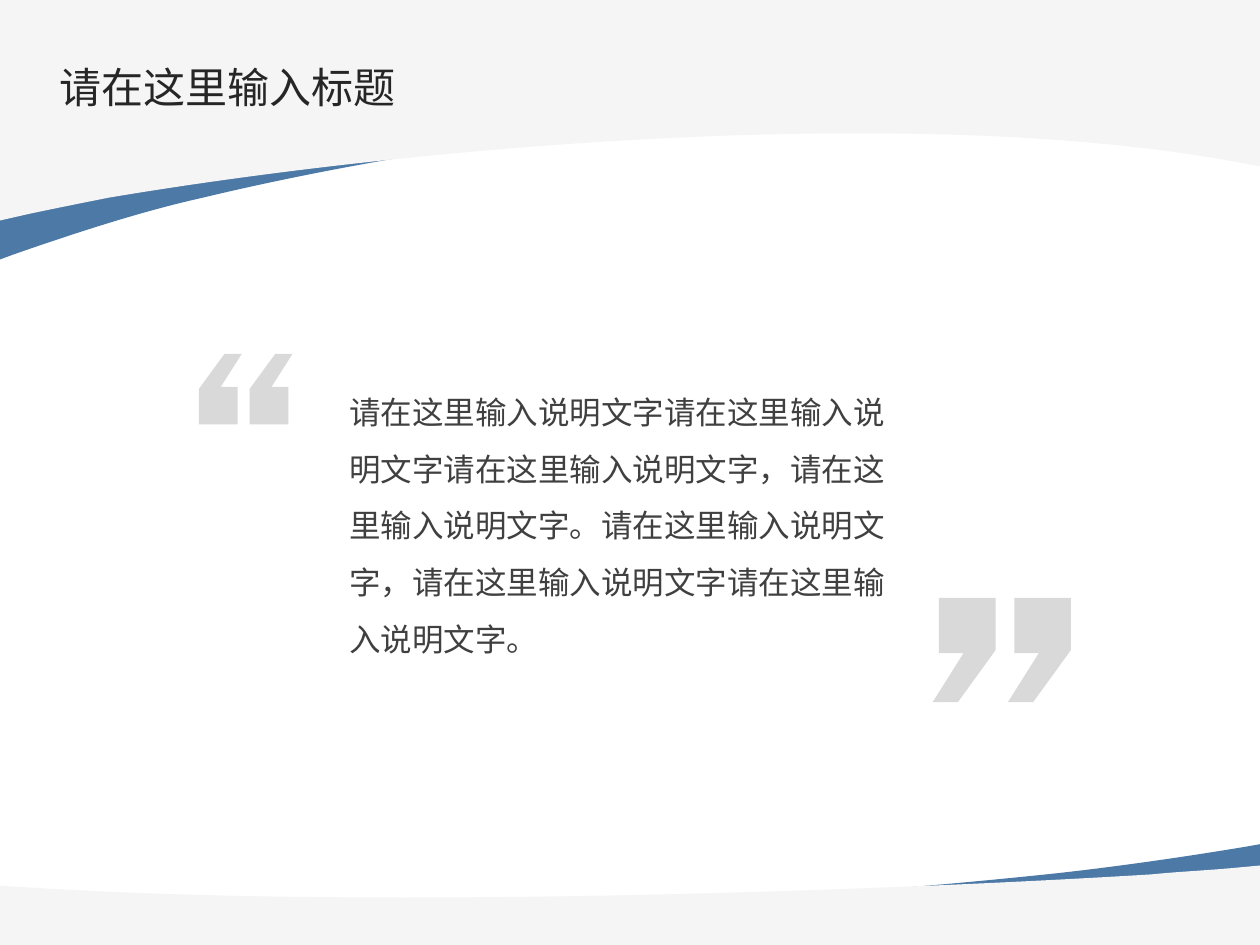
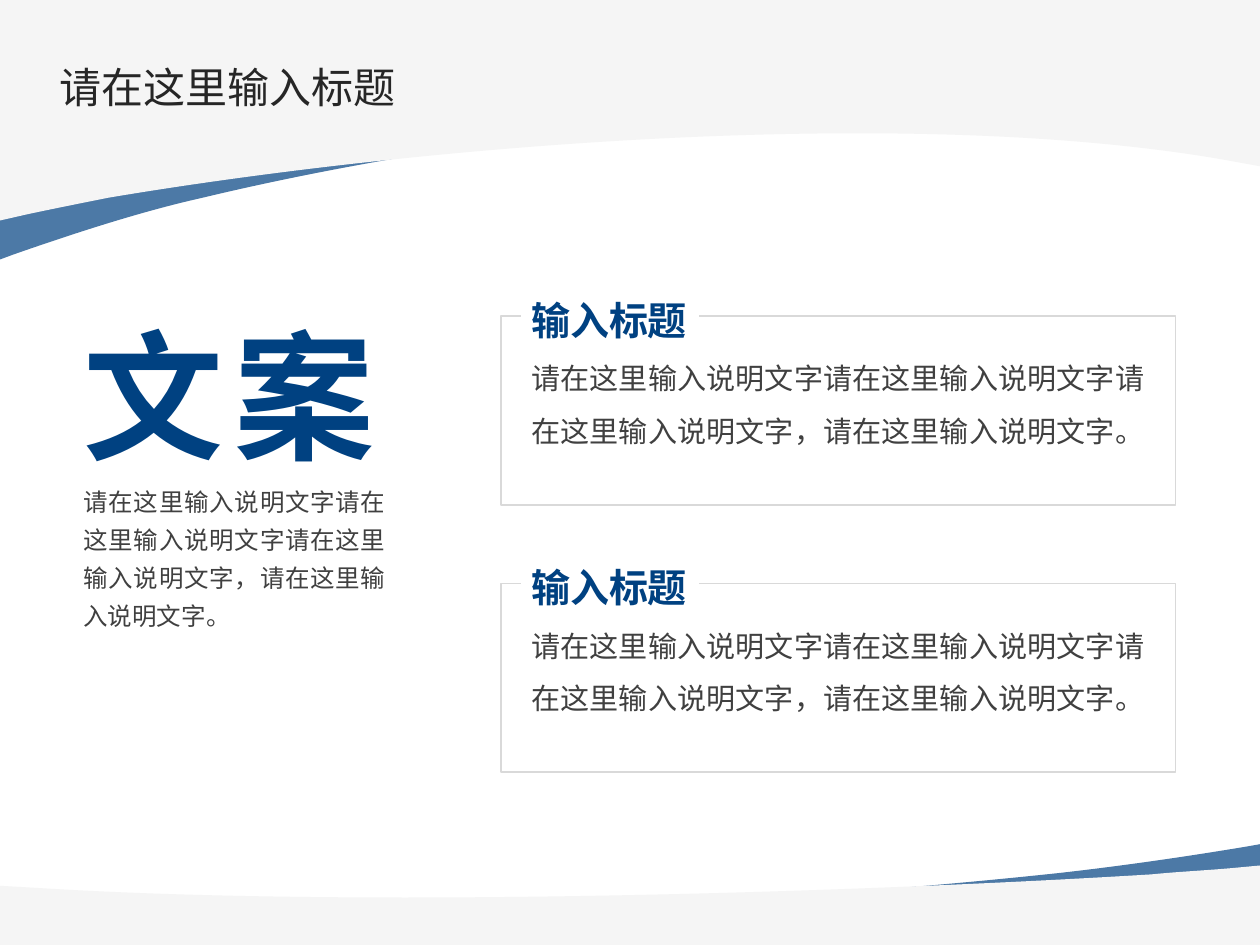
from dataclasses import dataclass

from lxml import etree
from pptx import Presentation
from pptx.dml.color import RGBColor
from pptx.enum.text import PP_ALIGN
from pptx.oxml.ns import qn
from pptx.shapes.autoshape import Shape
from pptx.slide import Slide
from pptx.text.text import TextFrame
from pptx.util import Pt

NAVY = RGBColor(0x00, 0x41, 0x81)
PALE = RGBColor(0xF5, 0xF5, 0xF5)
SILVER = RGBColor(0xD9, 0xD9, 0xD9)
INK = RGBColor(0x26, 0x26, 0x26)
BODY = RGBColor(0x40, 0x40, 0x40)
FONT = "Noto Sans CJK SC"
LEFT, JUSTIFY = PP_ALIGN.LEFT, PP_ALIGN.JUSTIFY
WIDTH, HEIGHT = 720, 540

Point = tuple[float, float]
Curve = tuple[Point, Point, Point]


@dataclass(frozen=True)
class Band:
    corners: list[Point]
    curves: list[Curve]
    color: RGBColor
    opacity: int = 100


@dataclass(frozen=True)
class Style:
    size: float
    color: RGBColor
    bold: bool = False


@dataclass(frozen=True)
class QuoteMark:
    left: float
    top: float
    width: float
    height: float
    opening: bool


BANDS = [
    Band(
        [(0, 148.3), (0, 47.5), (WIDTH, 47.5), (WIDTH, 89.3), (719.3, 88.6)],
        [
            ((557.3, 38.2), (277.2, 74.2), (115.9, 113)),
            ((83.5, 120.2), (46.8, 131.8), (7.9, 145.4)),
        ],
        NAVY, 70,
    ),
    Band(
        [(0, 126), (0, 0), (WIDTH, 0), (WIDTH, 95), (696.2, 90.7)],
        [
            ((508.3, 59), (228.2, 85), (61.9, 113)),
            ((47.5, 115.9), (31.7, 119), (15.8, 122.4)),
        ],
        PALE,
    ),
    Band(
        [(WIDTH, 482.4), (WIDTH, 529.2), (0, 529.2), (0, 509.8), (0.7, 509.8)],
        [
            ((162.7, 533.5), (442.8, 516.2), (604.1, 499)),
            ((636.5, 495.4), (673.2, 490.3), (712.1, 483.8)),
        ],
        NAVY, 70,
    ),
    Band(
        [(WIDTH, 494.6), (WIDTH, HEIGHT), (0, HEIGHT), (0, 506.2), (23.8, 507.6)],
        [
            ((211.7, 519.1), (491.8, 509.8), (658.1, 499.7)),
            ((672.5, 498.2), (688.3, 497.5), (704.2, 496.1)),
        ],
        PALE,
    ),
]

QUOTE_OUTLINE = [(0.1, 0), (1, 0), (1, 0.5), (0.4, 1), (0, 1), (0.49, 0.53), (0.1, 0.53)]
QUOTE_MARKS = [
    QuoteMark(533, 341.7, 36, 59.5, False),
    QuoteMark(576, 341.7, 36, 59.5, False),
    QuoteMark(142.6, 202.2, 24.6, 40.3, True),
    QuoteMark(113.6, 202.2, 24.6, 40.3, True),
]

TITLE_STYLE = Style(24, INK)
QUOTE_STYLE = Style(18, BODY)
COLUMN_STYLES = [Style(80, NAVY, True), Style(14, BODY)]
CARD_STYLES = [Style(22.25, NAVY, True), Style(16.65, BODY)]

TITLE = "请在这里输入标题"
QUOTE = (
    "请在这里输入说明文字请在这里输入说明文字请在这里输入说明文字，"
    "请在这里输入说明文字。请在这里输入说明文字，"
    "请在这里输入说明文字请在这里输入说明文字。"
)
HEADLINE = "文案"
DESCRIPTION = "请在这里输入说明文字请在这里输入说明文字请在这里输入说明文字，请在这里输入说明文字。"
CARD_HEADING = "输入标题"
CARD_COUNT = 2
CARD_TOP, CARD_PITCH, CARD_HEIGHT = 180.7, 152.8, 107.7
CARD_LEFT, CARD_RIGHT = 286.4, 671.8
CARD_GAP_LEFT, CARD_GAP_RIGHT = 297.7, 399.6
TITLE_INSET = 5.4


def draw_outline(slide: Slide, points: list[Point], close: bool = True) -> Shape:
    start, *rest = [(Pt(x), Pt(y)) for x, y in points]
    builder = slide.shapes.build_freeform(*start, scale=1.0)
    builder.add_line_segments(rest, close=close)
    outline = builder.convert_to_shape()
    outline.shadow.inherit = False
    return outline


def fill_outline(outline: Shape, color: RGBColor, opacity: int = 100) -> None:
    outline.fill.solid()
    outline.fill.fore_color.rgb = color
    outline.line.fill.background()
    if opacity < 100:
        swatch = outline._element.spPr.find(qn("a:solidFill"))[0]
        etree.SubElement(swatch, qn("a:alpha")).set("val", str(opacity * 1000))


def bend_segments(outline: Shape, first: int, curves: list[Curve]) -> None:
    segments = list(outline._element.iter(qn("a:lnTo")))[first:]
    for segment, curve in zip(segments, curves):
        segment.tag = qn("a:cubicBezTo")
        segment.clear()
        for x, y in curve:
            point = etree.SubElement(segment, qn("a:pt"))
            point.set("x", str(Pt(x) - outline.left))
            point.set("y", str(Pt(y) - outline.top))


def draw_band(slide: Slide, band: Band) -> None:
    ends = [curve[-1] for curve in band.curves]
    outline = draw_outline(slide, band.corners + ends)
    bend_segments(outline, len(band.corners) - 1, band.curves)
    fill_outline(outline, band.color, band.opacity)


def draw_text(slide: Slide, left: float, top: float, width: float, height: float,
              lines: list[str], styles: list[Style], line_spacing: float = 1,
              align: PP_ALIGN = LEFT, space_before: int = 0) -> TextFrame:
    box = slide.shapes.add_textbox(Pt(left), Pt(top), Pt(width), Pt(height))
    frame = box.text_frame
    frame.word_wrap = True
    frame.text = "\v".join(lines)
    paragraph = frame.paragraphs[0]
    paragraph.alignment = align
    paragraph.line_spacing = float(line_spacing)
    if space_before:
        paragraph.space_before = Pt(0)
        spacing = paragraph._p.pPr.find(qn("a:spcBef"))
        spacing.remove(spacing[0])
        etree.SubElement(spacing, qn("a:spcPct")).set("val", str(space_before * 1000))
    for run, style in zip(paragraph.runs, styles):
        run.font.name = FONT
        run.font.size = Pt(style.size)
        run.font.bold = style.bold
        run.font.color.rgb = style.color
        etree.SubElement(run._r.get_or_add_rPr(), qn("a:ea")).set("typeface", FONT)
    return frame


def draw_quote_mark(slide: Slide, mark: QuoteMark) -> None:
    outline = [(1 - x, 1 - y) if mark.opening else (x, y) for x, y in QUOTE_OUTLINE]
    points = [(mark.left + x * mark.width, mark.top + y * mark.height) for x, y in outline]
    fill_outline(draw_outline(slide, points), SILVER)


def draw_card(slide: Slide, top: float) -> None:
    draw_text(slide, 296.6, top - 28.1, 373.7, 118.8,
              [CARD_HEADING, DESCRIPTION], CARD_STYLES, 1.5, space_before=20)
    bottom = top + CARD_HEIGHT
    border = draw_outline(slide, [
        (CARD_GAP_RIGHT, top), (CARD_RIGHT, top), (CARD_RIGHT, bottom),
        (CARD_LEFT, bottom), (CARD_LEFT, top), (CARD_GAP_LEFT, top),
    ], close=False)
    border.fill.background()
    border.line.color.rgb = SILVER
    border.line.width = Pt(1)


def add_base_slide(deck: Presentation) -> Slide:
    slide = deck.slides.add_slide(deck.slide_layouts[6])
    for band in BANDS:
        draw_band(slide, band)
    title = draw_text(slide, 28.8, 29.5, 648, 41.8, [TITLE], [TITLE_STYLE])
    title.margin_left = title.margin_top = Pt(TITLE_INSET)
    return slide


def build_quote_slide(deck: Presentation) -> None:
    slide = add_base_slide(deck)
    draw_text(slide, 192.6, 210.3, 333.4, 170.6, [QUOTE], [QUOTE_STYLE], 1.5)
    for mark in QUOTE_MARKS:
        draw_quote_mark(slide, mark)


def build_cards_slide(deck: Presentation) -> None:
    slide = add_base_slide(deck)
    draw_text(slide, 40.6, 144.7, 186.8, 260.6, [HEADLINE, DESCRIPTION],
              COLUMN_STYLES, 1.3, JUSTIFY, 20)
    for index in range(CARD_COUNT):
        draw_card(slide, CARD_TOP + index * CARD_PITCH)


def main() -> None:
    deck = Presentation()
    deck.slide_width, deck.slide_height = Pt(WIDTH), Pt(HEIGHT)
    build_quote_slide(deck)
    build_cards_slide(deck)
    deck.save("out.pptx")


if __name__ == "__main__":
    main()
